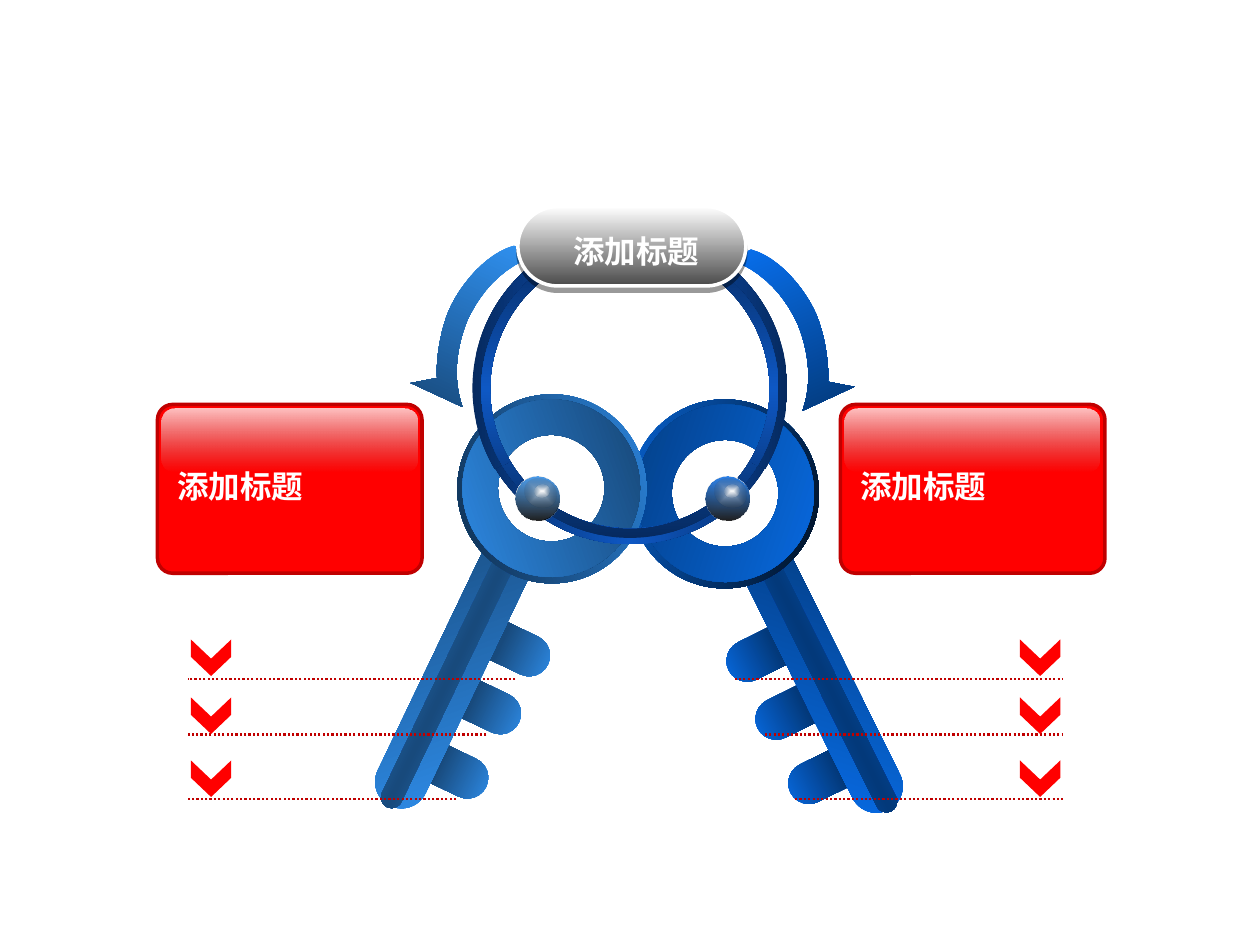
from lxml import etree
from pptx import Presentation
from pptx.dml.color import RGBColor
from pptx.enum.dml import MSO_LINE
from pptx.enum.shapes import MSO_CONNECTOR, MSO_SHAPE
from pptx.enum.text import MSO_AUTO_SIZE
from pptx.oxml.ns import qn
from pptx.util import Inches, Pt

ROUND = MSO_SHAPE.ROUNDED_RECTANGLE
OVAL = MSO_SHAPE.OVAL
DONUT = MSO_SHAPE.DONUT
ARC = MSO_SHAPE.BLOCK_ARC
CHEVRON = MSO_SHAPE.CHEVRON
STRAIGHT = MSO_CONNECTOR.STRAIGHT
DOTS = MSO_LINE.ROUND_DOT
GROW = MSO_AUTO_SIZE.SHAPE_TO_FIT_TEXT

WHITE, BLACK, RED, DARK_RED = "FFFFFF", "000000", "FF0000", "C00000"
BLUE, DEEP = "0870EE", "03397A"
SKY, STEEL = "3092F2", "184A7C"
LOOP = ["062A60", "0E58C4", "062A60"]
TITLE = "添加标题"
ROWS = [(5.39, 5.06), (5.83, 5.52), (6.34, 6.02)]  # line y, chevron y
KEY_SUM = 10.13  # left x + right x of mirrored key parts


def color(text):
    return RGBColor.from_string(text)


def node(parent, tag, **attrs):
    return etree.SubElement(parent, qn(tag), {k: str(v) for k, v in attrs.items()})


def tint(parent, text, alpha=100):
    item = node(parent, "a:srgbClr", val=text)
    if alpha < 100:
        node(item, "a:alpha", val=alpha * 1000)


def blend(shape, stops, angle=0, radial=False):
    """Fill with evenly spaced stops, each a colour or (colour, opacity)."""
    shape.fill.background()
    props = shape._element.spPr
    old = props.find(qn("a:noFill"))
    grad = etree.Element(qn("a:gradFill"), rotWithShape="1")
    props.replace(old, grad)
    stop_list = node(grad, "a:gsLst")
    for i, stop in enumerate(stops):
        hue, alpha = (stop, 100) if isinstance(stop, str) else stop
        tint(node(stop_list, "a:gs", pos=100000 * i // (len(stops) - 1)), hue, alpha)
    if radial:
        path = node(grad, "a:path", path="shape")
        node(path, "a:fillToRect", l=50000, t=50000, r=50000, b=50000)
    else:
        node(grad, "a:lin", ang=angle * 60000, scaled=0)


def finish(shape, fill, angle=0, radial=False):
    shape.shadow.inherit = False
    shape.line.fill.background()
    if isinstance(fill, str):
        shape.fill.solid()
        shape.fill.fore_color.rgb = color(fill)
    else:
        blend(shape, fill, angle, radial)


def add(slide, kind, box, fill, angle=0, turn=0, adj=(), radial=False):
    shape = slide.shapes.add_shape(kind, *map(Inches, box))
    for i, value in enumerate(adj):
        shape.adjustments[i] = value
    shape.rotation = turn
    finish(shape, fill, angle, radial)
    return shape


def edge(shape, hue):
    shape.line.color.rgb = color(hue)
    shape.line.width = Pt(2)


def label(slide, text, x, y, w):
    box = slide.shapes.add_textbox(*map(Inches, (x, y, w, 0.4)))
    frame = box.text_frame
    frame.word_wrap = True
    frame.auto_size = GROW
    para = frame.paragraphs[0]
    para.text = text
    font = para.font
    font.name, font.size, font.bold = "Arial", Pt(18), True
    font.color.rgb = color(WHITE)


def rule(slide, start, end, y):
    line = slide.shapes.add_connector(
        STRAIGHT, Inches(start), Inches(y), Inches(end), Inches(y))
    line.line.color.rgb = color(DARK_RED)
    line.line.width = Pt(1.25)
    line.line.dash_style = DOTS
    node(line._element.spPr, "a:effectLst")


def key(slide, light, dark, rim, face, left=False):
    turn = 25.6 if left else -26.4

    def part(kind, x, y, w, h, fill, angle=0, adj=0.5):
        if left:
            x, y, angle = KEY_SUM - x - w, y - 0.04, (180 - angle) % 360
        add(slide, kind, (x, y, w, h), fill, angle, turn, [adj])

    groove = [light, dark, light]
    for x, y in [(5.74, 4.97), (6.23, 5.94), (5.97, 5.43)]:
        part(ROUND, x, y, 0.83, 0.33, groove)
    part(ROUND, 6.32, 4.22, 0.42, 2.33, [light, dark], 315)
    part(ROUND, 6.47, 4.23, 0.17, 2.33, groove)
    part(DONUT, 5, 3.17, 1.5, 1.5, [light, rim], 45, 0.2)
    part(DONUT, 5.05, 3.21, 1.41, 1.41, face, 45, 0.2)


def band(slide, x, y, size, thick, start, end, angle):
    """Part of the key loop, clockwise between two angles."""
    adj = [start * 0.6, end * 0.6, thick]
    add(slide, ARC, (x, y, size, size), LOOP, angle, adj=adj)


def curve(a, b, c, d, steps=12):
    for i in range(1, steps + 1):
        t = i / steps
        u = 1 - t
        yield tuple(u**3 * p + 3 * u * u * t * q + 3 * u * t * t * r + t**3 * s
                    for p, q, r, s in zip(a, b, c, d))


def arrow(slide, fill, left=False):
    points = [(4.08, 1.95), (4.25, 2.03)]
    points += curve(points[-1], (3.89, 2.15), (3.75, 2.46), (3.71, 2.54))
    points += curve(points[-1], (3.68, 2.62), (3.56, 2.91), (3.67, 3.23))
    points += [(3.26, 3.04), (3.47, 3)]
    points += curve(points[-1], (3.46, 2.95), (3.47, 2.69), (3.56, 2.47))
    points += curve(points[-1], (3.65, 2.26), (3.86, 2.01), (4.08, 1.95))
    if not left:
        points = [(10.04 - x, y + 0.03) for x, y in points]
    path = [(Inches(x), Inches(y)) for x, y in points]
    form = slide.shapes.build_freeform(*path[0])
    form.add_line_segments(path[1:], close=True)
    finish(form.convert_to_shape(), fill, 114 if left else 66)


def ball(slide, x, hue):
    y = 3.78
    box = (x, y, 0.35, 0.35)
    add(slide, OVAL, box, [WHITE, "D1D1D1"], radial=True)
    add(slide, OVAL, box, [(hue, 82), (BLACK, 85)], 90)
    add(slide, OVAL, (x + 0.09, y, 0.22, 0.26), [(WHITE, 50), (BLACK, 0)],
        turn=297.8, radial=True)
    add(slide, OVAL, (x + 0.15, y + 0.07, 0.12, 0.1), [WHITE, ("B6B6B6", 0)],
        turn=171.1, radial=True)


def panel(slide, x, mark, margin, ends):
    for (y, top), end in zip(ROWS, ends):
        rule(slide, end, margin, y)
        add(slide, CHEVRON, (mark, top, 0.29, 0.32), RED, turn=90, adj=[0.525])
    card = add(slide, ROUND, (x, 3.21, 2.1, 1.34), RED, adj=[0.09])
    edge(card, DARK_RED)
    label(slide, TITLE, x + 0.06, 3.66, 1.94)
    add(slide, ROUND, (x + 0.03, 3.24, 2.03, 0.5),
        [(WHITE, 77), ("B6B6B6", 0)], 90, adj=[0.21])


def cap(slide):
    pill = add(slide, ROUND, (4.11, 1.64, 1.81, 0.63), [WHITE, "4A4A4A"], 90, adj=[0.5])
    edge(pill, WHITE)
    effects = pill._element.spPr.find(qn("a:effectLst"))
    shade = node(effects, "a:outerShdw", dist=Pt(3), dir=5400000, rotWithShape=0)
    tint(shade, BLACK, 40)
    label(slide, TITLE, 4.45, 1.79, 1.72)


def main():
    deck = Presentation()
    deck.slide_width, deck.slide_height = Inches(10), Inches(7.5)
    slide = deck.slides.add_slide(deck.slide_layouts[6])

    key(slide, BLUE, DEEP, BLACK, [DEEP, BLUE])
    key(slide, SKY, STEEL, "0A2038", ["143D66", SKY], left=True)

    band(slide, 3.75, 1.82, 2.5, 0.05, 31, 149, 0)
    band(slide, 3.82, 1.91, 2.36, 0.03, 31, 149, 90)
    band(slide, 3.75, 1.83, 2.5, 0.05, 149, 31, 0)
    arrow(slide, [BLUE, DEEP])
    arrow(slide, [SKY, STEEL], left=True)
    band(slide, 3.82, 1.91, 2.36, 0.03, 149, 31, 90)
    ball(slide, 5.6, BLUE)
    ball(slide, 4.09, SKY)

    panel(slide, 1.25, 1.53, 1.49, [4.09, 3.86, 3.62])
    panel(slide, 6.67, 8.11, 8.44, [5.83, 6.07, 6.31])
    cap(slide)
    deck.save("out.pptx")


if __name__ == "__main__":
    main()
